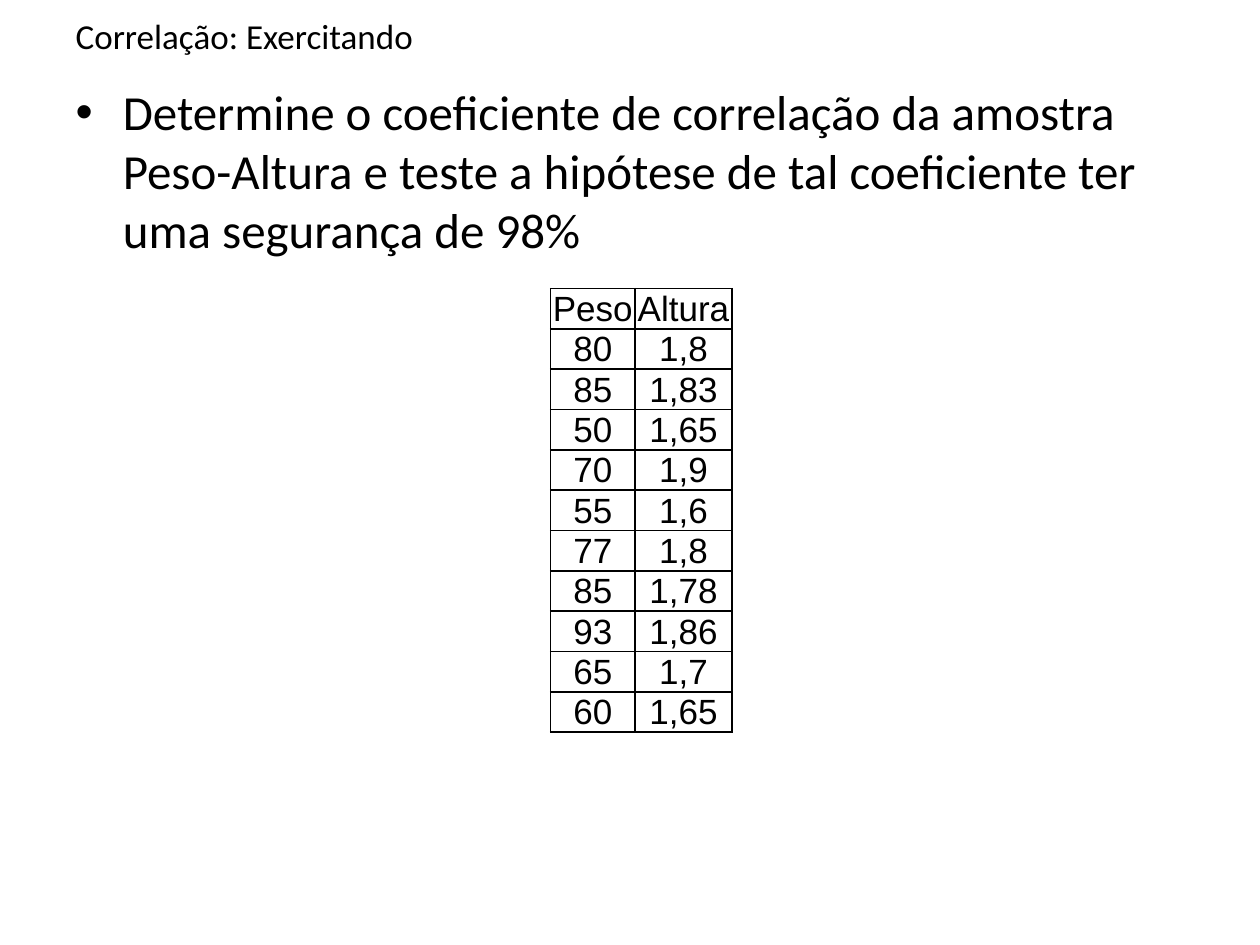
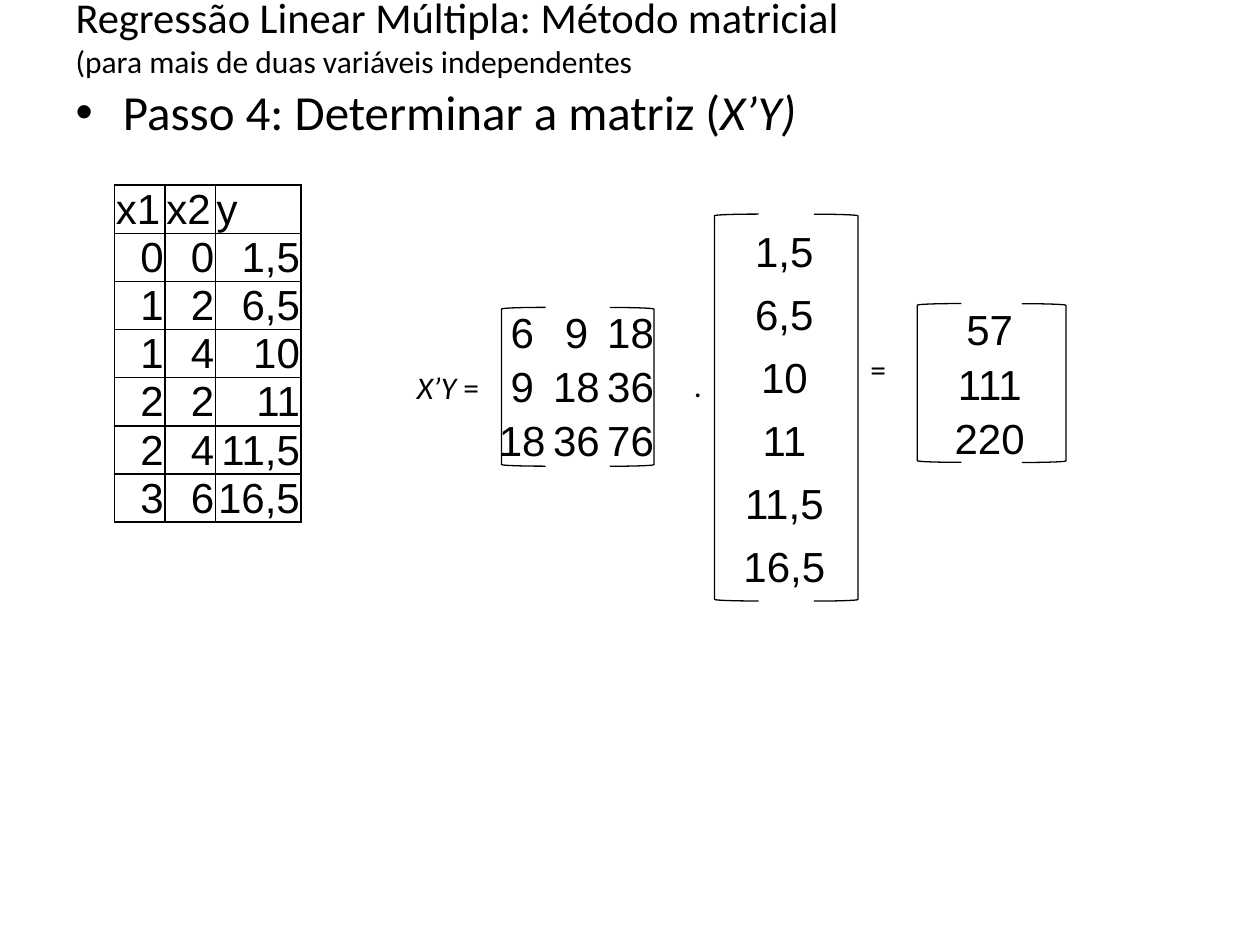
from lxml.etree import SubElement
from pptx import Presentation
from pptx.dml.color import RGBColor
from pptx.enum.shapes import MSO_SHAPE
from pptx.enum.text import MSO_ANCHOR, MSO_AUTO_SIZE, PP_ALIGN
from pptx.oxml.ns import qn
from pptx.util import Inches, Pt

BLACK = "000000"
TEXT_FONT, TABLE_FONT = "Calibri", "Arial"
TITLE_BOX = (0.5, 0.05, 9, 0.46)
BODY_BOX = (0.5, 0.6, 9, 6.1)
TIGHT = (0.01, 0.01, 0.01, 0)
ROOMY = (0.1, 0.05, 0.1, 0.05)
BRACKET_W = 0.35

WEIGHT_HEIGHT = [
    ("Peso", "Altura"), ("80", "1,8"), ("85", "1,83"), ("50", "1,65"),
    ("70", "1,9"), ("55", "1,6"), ("77", "1,8"), ("85", "1,78"),
    ("93", "1,86"), ("65", "1,7"), ("60", "1,65"),
]
SAMPLE = [
    ("x1", "x2", "y"), ("0", "0", "1,5"), ("1", "2", "6,5"), ("1", "4", "10"),
    ("2", "2", "11"), ("2", "4", "11,5"), ("3", "6", "16,5"),
]
X_MATRIX = [("6", "9", "18"), ("9", "18", "36"), ("18", "36", "76")]
Y_VECTOR = [(row[2],) for row in SAMPLE[1:]]
PRODUCT = [("57",), ("111",), ("220",)]


def rgb(color):
    return RGBColor.from_string(color)


def place(sp, box):
    sp.left, sp.top, sp.width, sp.height = map(Inches, box)


def style(r, size, font=TEXT_FONT, italic=None):
    r.font.size, r.font.name, r.font.italic = Pt(size), font, italic
    r.font.color.rgb = rgb(BLACK)


def add_runs(p, parts, size):
    """Append (text, italic) parts to a paragraph."""
    for text, italic in parts:
        r = p.add_run()
        r.text = text
        style(r, size, italic=italic)


def add_slide(prs, title, title_sizes, body_parts):
    slide = prs.slides.add_slide(prs.slide_layouts[1])
    heading, body = slide.shapes.title, slide.placeholders[1]
    for sp, box in ((heading, TITLE_BOX), (body, BODY_BOX)):
        place(sp, box)
        sp.text_frame.auto_size = MSO_AUTO_SIZE.NONE
    heading.text_frame.text = title
    p = heading.text_frame.paragraphs[0]
    p.alignment = PP_ALIGN.LEFT
    for r, size in zip(p.runs, title_sizes):
        style(r, size)
    add_runs(body.text_frame.paragraphs[0], body_parts, 28)
    return slide


def set_borders(cell, width):
    """Draw all four borders, or hide them when width is 0."""
    tc_pr = cell._tc.get_or_add_tcPr()
    for side in ("a:lnL", "a:lnR", "a:lnT", "a:lnB"):
        ln = SubElement(tc_pr, qn(side), w=str(Pt(width)))
        if width:
            fill = SubElement(ln, qn("a:solidFill"))
            SubElement(fill, qn("a:srgbClr"), val=BLACK)
        else:
            SubElement(ln, qn("a:noFill"))


def add_grid(slide, left, top, col_widths, row_height, rows, size=24, border=0,
             margins=TIGHT, anchor=MSO_ANCHOR.MIDDLE,
             header_align=PP_ALIGN.CENTER, align=PP_ALIGN.CENTER):
    table = slide.shapes.add_table(
        len(rows), len(col_widths), Inches(left), Inches(top),
        Inches(sum(col_widths)), Inches(row_height * len(rows))).table
    table.first_row = table.horz_banding = False
    for col, width in zip(table.columns, col_widths):
        col.width = Inches(width)
    for i, values in enumerate(rows):
        table.rows[i].height = Inches(row_height)
        for j, text in enumerate(values):
            cell = table.cell(i, j)
            (cell.margin_left, cell.margin_top,
             cell.margin_right, cell.margin_bottom) = map(Inches, margins)
            cell.vertical_anchor = anchor
            set_borders(cell, border)
            cell.fill.background()
            p = cell.text_frame.paragraphs[0]
            p.text = text
            p.alignment = align if i else header_align
            style(p.runs[0], size, TABLE_FONT)


def add_brackets(slide, left, top, width, height):
    for x, rotation in ((left, 0), (left + width - BRACKET_W, 180)):
        sp = slide.shapes.add_shape(
            MSO_SHAPE.LEFT_BRACKET, Inches(x), Inches(top),
            Inches(BRACKET_W), Inches(height))
        sp.adjustments[0] = 0.036
        sp.rotation = rotation
        sp.shadow.inherit = False
        sp.fill.background()
        sp.line.color.rgb = rgb(BLACK)
        sp.line.width = Pt(0.75)


def add_label(slide, box, parts):
    sp = slide.shapes.add_textbox(*map(Inches, box))
    sp.text_frame.word_wrap = False
    add_runs(sp.text_frame.paragraphs[0], parts, 18)


def correlation_slide(prs):
    slide = add_slide(
        prs, "Correlação: Exercitando", [20],
        [("Determine o coeficiente de correlação da amostra Peso-Altura e "
          "teste a hipótese de tal coeficiente ter uma segurança de 98%", None)])
    add_grid(slide, 4.37, 2.29, [0.67, 0.77], 0.2, WEIGHT_HEIGHT, size=20,
             border=1, anchor=MSO_ANCHOR.BOTTOM)


def matrix_product(slide, left, top):
    """Lay out X'Y = matrix . vector = product."""
    add_label(slide, (left, top + 1.17, 0.76, 0.4), [("X’Y", True), (" =", False)])
    add_grid(slide, left + 0.72, top + 0.73, [0.43] * 3, 0.43, X_MATRIX)
    add_brackets(slide, left + 0.77, top + 0.74, 1.21, 1.26)
    add_label(slide, (left + 2.2, top + 1.16, 0.27, 0.4), [(".", None)])
    add_grid(slide, left + 2.59, top + 0.07, [0.85], 0.41, Y_VECTOR,
             margins=ROOMY, anchor=MSO_ANCHOR.TOP)
    add_brackets(slide, left + 2.46, top, 1.14, 3.07)
    add_label(slide, (left + 3.6, top + 1.03, 0.33, 0.4), [("=", None)])
    add_grid(slide, left + 4.31, top + 0.71, [0.67], 0.43, PRODUCT)
    add_brackets(slide, left + 4.07, top + 0.71, 1.18, 1.26)


def regression_slide(prs):
    slide = add_slide(
        prs, "Regressão Linear Múltipla: Método matricial\v"
        "(para mais de duas variáveis independentes", [24.3, 18],
        [("Passo 4: Determinar a matriz (", None), ("X’Y)", True)])
    add_grid(slide, 0.91, 1.47, [0.4, 0.4, 0.68], 0.2, SAMPLE, border=1,
             anchor=MSO_ANCHOR.BOTTOM, header_align=PP_ALIGN.LEFT,
             align=PP_ALIGN.RIGHT)
    matrix_product(slide, 3.21, 1.7)


def main():
    prs = Presentation()
    prs.slide_width, prs.slide_height = Inches(10), Inches(7.5)
    correlation_slide(prs)
    regression_slide(prs)
    prs.save("out.pptx")


if __name__ == "__main__":
    main()
